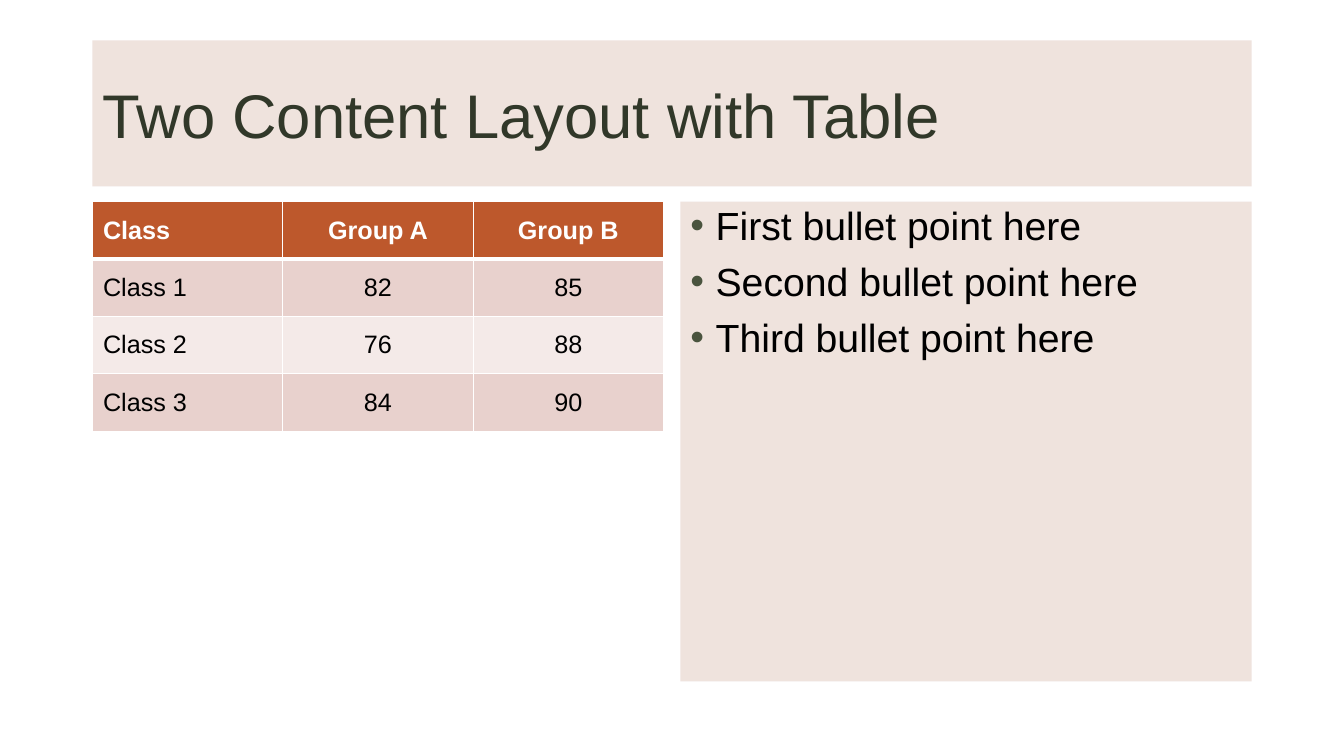
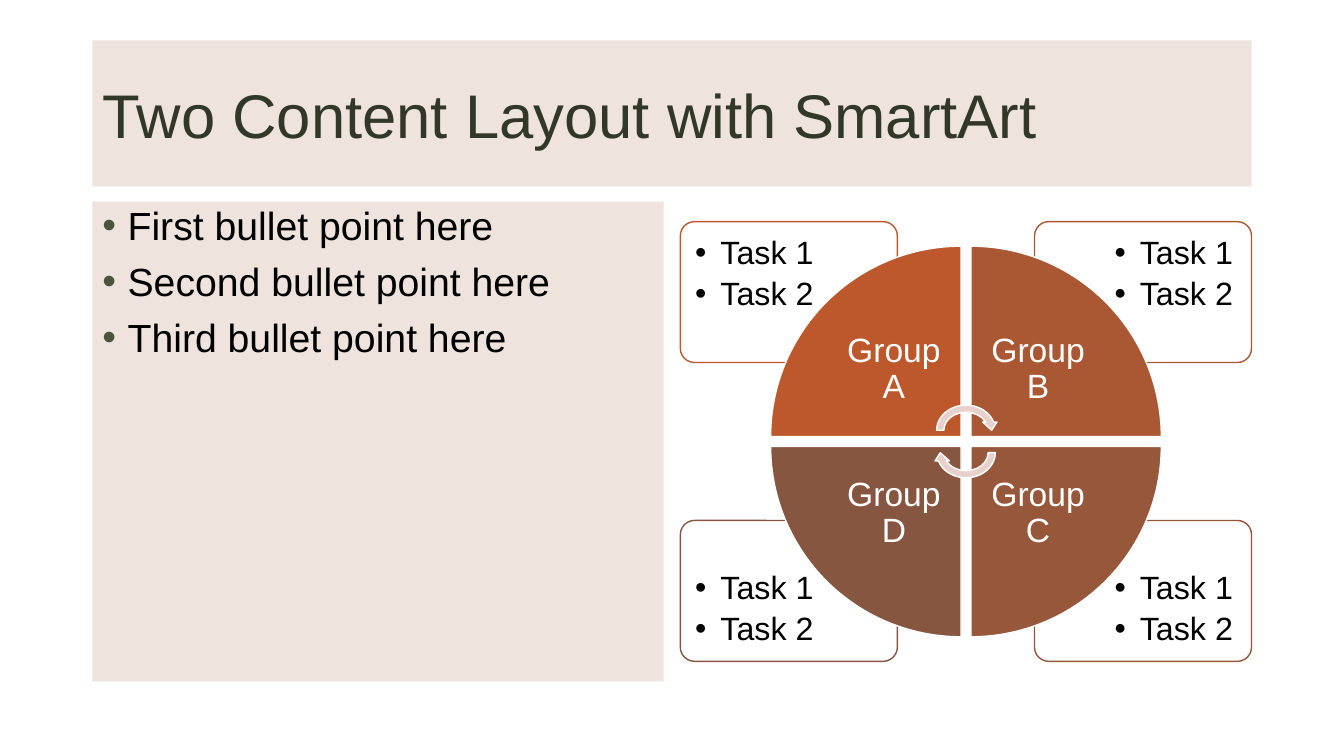
import lxml.etree
import pptx
import pptx.dml.color
import pptx.enum.shapes
import pptx.enum.text
import pptx.oxml.ns
import pptx.util

Pt = pptx.util.Pt
SHAPES = pptx.enum.shapes.MSO_SHAPE
ALIGN = pptx.enum.text.PP_ALIGN
ANCHOR = pptx.enum.text.MSO_ANCHOR

LEFT, TOP = 66, 144
COLUMN, HEIGHT, GUTTER = 408, 342.7, 12
WIDTH = 2 * COLUMN + GUTTER
RIGHT = LEFT + COLUMN + GUTTER
BULLETS = ["First bullet point here", "Second bullet point here", "Third bullet point here"]


def colour(value):
    return pptx.dml.color.RGBColor.from_string(value)


def add_element(parent, tag, **attributes):
    return lxml.etree.SubElement(parent, pptx.oxml.ns.qn(tag), **attributes)


class Deck:
    font = "Arial"
    ink, white, title_ink, bullet_ink = "000000", "FFFFFF", "313829", "4A543E"
    panel, accent, pale, paler = "EBDCD5", "BD582C", "E8D1CD", "F4EAE8"

    def __init__(self):
        self.deck = pptx.Presentation()
        self.deck.slide_width, self.deck.slide_height = Pt(960), Pt(540)
        self.page = None

    def new_page(self, title):
        self.page = self.deck.slides.add_slide(self.deck.slide_layouts[1])
        box = self.page.shapes.title
        self.place_panel(box, LEFT, 28.8, WIDTH, 104.4)
        box.text_frame.vertical_anchor = ANCHOR.MIDDLE
        self.set_lines(box.text_frame, [title], 44, self.title_ink)

    def fill(self, target, value, opacity=100):
        target.fill.solid()
        target.fill.fore_color.rgb = colour(value)
        if opacity < 100:
            tint = target.fill._xPr.find(".//" + pptx.oxml.ns.qn("a:srgbClr"))
            add_element(tint, "a:alpha", val=str(opacity * 1000))

    def place_panel(self, box, left, top, width, height):
        box.left, box.top, box.width, box.height = map(Pt, (left, top, width, height))
        box.text_frame.auto_size = pptx.enum.text.MSO_AUTO_SIZE.NONE
        self.fill(box, self.panel, 80)

    def set_lines(self, frame, lines, size, ink, align=ALIGN.LEFT, bold=False,
                  spacing=None, gap=0, bullet=None):
        for index, line in enumerate(lines):
            para = frame.paragraphs[0] if index == 0 else frame.add_paragraph()
            para.text = line
            para.alignment = align
            para.space_before = Pt(gap if index else 0)
            if spacing:
                para.line_spacing = spacing
            if bullet:
                self.add_bullet(para, bullet)
            para.font.name, para.font.size, para.font.bold = self.font, Pt(size), bold
            para.font.color.rgb = colour(ink)

    def add_bullet(self, para, ink):
        properties = para._p.get_or_add_pPr()
        properties.set("marL", str(Pt(18)))
        properties.set("indent", str(-Pt(18)))
        add_element(add_element(properties, "a:buClr"), "a:srgbClr", val=ink)
        add_element(properties, "a:buFont", typeface=self.font)
        add_element(properties, "a:buChar", char="•")

    def bullets(self, lines, left):
        box = self.page.placeholders[1]
        self.place_panel(box, left, TOP, COLUMN, HEIGHT)
        self.set_lines(box.text_frame, lines, 28, self.ink, spacing=0.9, gap=9.6,
                       bullet=self.bullet_ink)

    def text(self, lines, left, top, width, height, inset, size, ink,
             anchor=ANCHOR.TOP, **style):
        box = self.page.shapes.add_textbox(Pt(left), Pt(top), Pt(width), Pt(height))
        frame = box.text_frame
        frame.word_wrap = True
        frame.vertical_anchor = anchor
        frame.margin_left = frame.margin_right = Pt(inset)
        frame.margin_top = frame.margin_bottom = Pt(inset)
        self.set_lines(frame, lines, size, ink, spacing=0.9, **style)

    def shape(self, kind, left, top, width, height, fill, line, opacity=100, turn=0):
        shape = self.page.shapes.add_shape(kind, Pt(left), Pt(top), Pt(width), Pt(height))
        shape.shadow.inherit = False
        shape.rotation = turn
        self.fill(shape, fill, opacity)
        shape.line.color.rgb = colour(line)
        shape.line.width = Pt(1)
        return shape

    def border(self, cell, side, weight):
        line = add_element(cell._tc.get_or_add_tcPr(), "a:ln" + side, w=str(Pt(weight)))
        add_element(add_element(line, "a:solidFill"), "a:srgbClr", val=self.white)

    def table(self, rows, left, top, width, row_height):
        table = self.page.shapes.add_table(
            len(rows), len(rows[0]), Pt(left), Pt(top), Pt(width), Pt(row_height * len(rows))
        ).table
        for row, values in enumerate(rows):
            header = row == 0
            shade = self.accent if header else self.pale if row % 2 else self.paler
            weights = {"L": 1, "R": 1, "T": 3 if row == 1 else 1, "B": 3 if header else 1}
            for column, value in enumerate(values):
                cell = table.cell(row, column)
                for side, weight in weights.items():
                    self.border(cell, side, weight)
                self.fill(cell, shade)
                cell.vertical_anchor = ANCHOR.MIDDLE
                cell.margin_left = cell.margin_right = Pt(7.6)
                self.set_lines(cell.text_frame, [value], 18,
                               self.white if header else self.ink,
                               align=ALIGN.CENTER if column else ALIGN.LEFT, bold=header)

    def cycle(self, groups, tasks, left, top, width, height):
        middle_x, middle_y = left + width / 2, top + height / 2
        wedge, gap, label = 136, 7, 96
        card_width, card_height = 155, 100.6
        task_width, task_height, task_edge = 104.4, 70.6, 2
        corners = [(0, 0), (1, 0), (1, 1), (0, 1)]

        def outer(corner, wide, high, edge=0):
            column, row = corner
            reach = 157 - edge
            across = left + width - edge - wide if column else left + edge
            down = middle_y + reach - high if row else middle_y - reach
            return across, down, wide, high

        def inner(corner, side):
            across, down = (gap / 2 if far else -gap / 2 - side for far in corner)
            return middle_x + across, middle_y + down, side, side

        for corner, (name, shade) in zip(corners, groups):
            card = self.shape(SHAPES.ROUNDED_RECTANGLE, *outer(corner, card_width, card_height),
                              self.white, shade, opacity=90)
            card.adjustments[0] = 0.1
            self.text(tasks, *outer(corner, task_width, task_height, task_edge), 8.6, 23,
                      self.ink, gap=4.8, bullet=self.ink)
        for index, (corner, (name, shade)) in enumerate(zip(corners, groups)):
            self.shape(SHAPES.PIE_WEDGE, *inner(corner, wedge), shade, self.white,
                       turn=90 * index)
            self.text([name], *inner(corner, label), 13.6, 24, self.white,
                      anchor=ANCHOR.MIDDLE, align=ALIGN.CENTER)
        arrow_width, arrow_height = 47, 41
        for shift, turn in ((-8, 0), (8, 180)):
            self.shape(SHAPES.CIRCULAR_ARROW, middle_x - arrow_width / 2,
                       middle_y + shift - arrow_height / 2, arrow_width, arrow_height,
                       self.pale, self.white, turn=turn)


def main():
    deck = Deck()

    deck.new_page("Two Content Layout with Table")
    scores = [
        ["Class", "Group A", "Group B"],
        ["Class 1", "82", "85"],
        ["Class 2", "76", "88"],
        ["Class 3", "84", "90"],
    ]
    deck.table(scores, LEFT, TOP, COLUMN, 41)
    deck.bullets(BULLETS, RIGHT)

    deck.new_page("Two Content Layout with SmartArt")
    groups = [("Group A", "BD582C"), ("Group B", "AA5834"),
              ("Group C", "97573A"), ("Group D", "865640")]
    deck.cycle(groups, ["Task 1", "Task 2"], RIGHT, TOP, COLUMN, HEIGHT)
    deck.bullets(BULLETS, LEFT)

    deck.deck.save("out.pptx")


if __name__ == "__main__":
    main()
